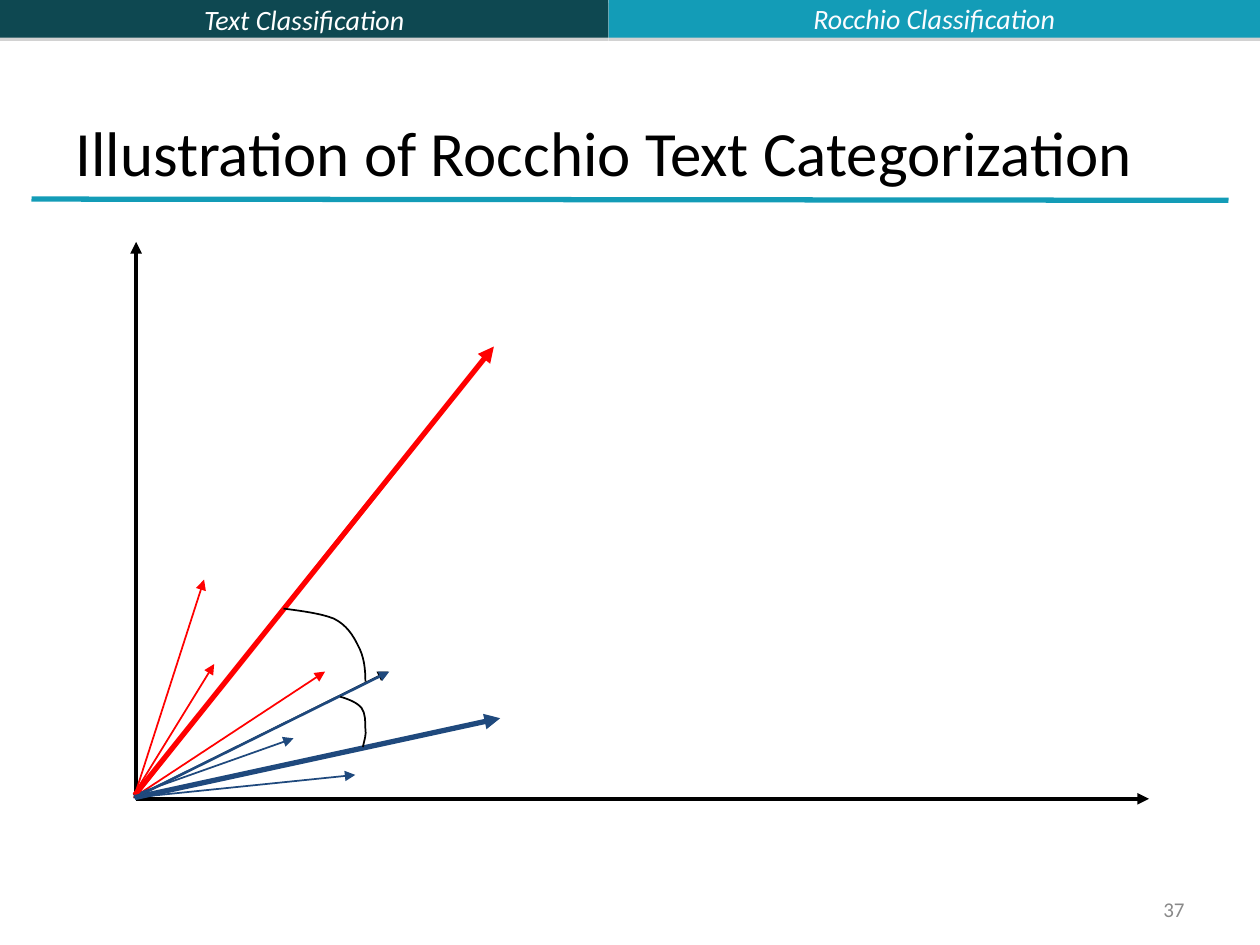
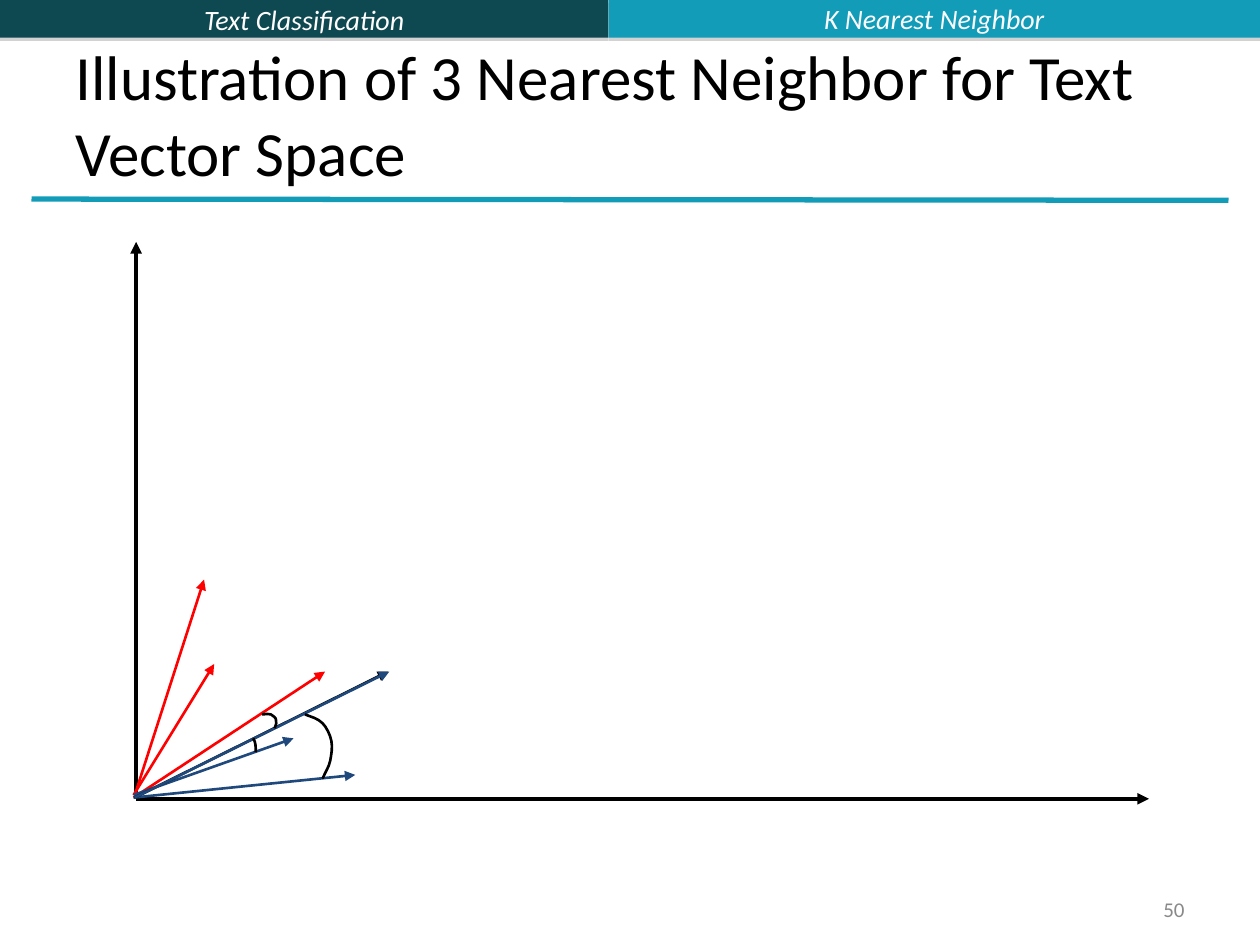
from lxml.etree import SubElement
from pptx import Presentation
from pptx.dml.color import RGBColor
from pptx.enum.shapes import MSO_CONNECTOR, MSO_SHAPE
from pptx.enum.text import MSO_ANCHOR, MSO_AUTO_SIZE, PP_ALIGN
from pptx.oxml.ns import qn
from pptx.util import Inches, Pt

DARK_TEAL = RGBColor(0x0E, 0x48, 0x51)
TEAL = RGBColor(0x13, 0x9C, 0xB7)
WHITE = RGBColor(0xFF, 0xFF, 0xFF)
PALE = RGBColor(0xFB, 0xFC, 0xFF)
BLACK = RGBColor(0, 0, 0)
GRAY = RGBColor(0x89, 0x89, 0x89)
RED = RGBColor(0xFF, 0, 0)
NAVY = RGBColor(0x1F, 0x49, 0x7D)
FONT = "Calibri"

COURSE = "Text Classification"
SPLIT = 4.83
AXES = [((1.08, 6.33), (1.08, 1.92)), ((1.08, 6.34), (9.12, 6.34))]
DOCUMENTS = [
    ((1.07, 6.31), (1.62, 4.6), RED),
    ((1.06, 6.31), (1.7, 5.27), RED),
    ((1.06, 6.33), (2.58, 5.33), RED),
    ((1.06, 6.33), (2.82, 6.15), NAVY),
    ((1.06, 6.31), (2.33, 5.86), NAVY),
]
CENTROIDS = [((1.07, 6.31), (3.92, 2.75), RED), ((1.07, 6.33), (3.97, 5.7), NAVY)]
QUERY = [((1.07, 6.33), (3.08, 5.33), BLACK), ((1.07, 6.33), (3.09, 5.33), NAVY)]

SLIDES = [
    dict(
        title="Illustration of Rocchio Text Categorization",
        topic="Rocchio Classification", number="37", weight=1, centroids=CENTROIDS,
        arcs=[
            [(2.25, 4.83), (2.4, 4.85), (2.55, 4.87), (2.65, 4.91), (2.75, 4.96),
             (2.8, 5.04), (2.84, 5.12), (2.89, 5.21), (2.9, 5.31), (2.9, 5.41)],
            [(2.7, 5.53), (2.77, 5.55), (2.84, 5.58), (2.87, 5.62), (2.9, 5.66),
             (2.9, 5.73), (2.9, 5.78), (2.91, 5.83), (2.89, 5.88), (2.88, 5.93)],
        ],
    ),
    dict(
        title="Illustration of 3 Nearest Neighbor for Text Vector Space",
        topic="K Nearest Neighbor", number="50", weight=1.5, centroids=[],
        arcs=[
            [(2.01, 5.86), (2.03, 5.89), (2.03, 5.93), (2.03, 5.97)],
            [(2.08, 5.67), (2.11, 5.67), (2.13, 5.66), (2.15, 5.67), (2.17, 5.68),
             (2.19, 5.7), (2.19, 5.71), (2.2, 5.73), (2.19, 5.75), (2.18, 5.78)],
            [(2.42, 5.67), (2.47, 5.69), (2.52, 5.7), (2.56, 5.74), (2.59, 5.77),
             (2.62, 5.83), (2.63, 5.88), (2.64, 5.93), (2.63, 5.99), (2.62, 6.04),
             (2.61, 6.09), (2.58, 6.13), (2.56, 6.18)],
        ],
    ),
]


def write(sp, text, size, color, align, anchor=MSO_ANCHOR.MIDDLE, italic=False):
    tf = sp.text_frame
    tf.text = text
    tf.word_wrap = True
    tf.auto_size = MSO_AUTO_SIZE.NONE
    tf.vertical_anchor = anchor
    p = tf.paragraphs[0]
    p.alignment = align
    font = p.runs[0].font
    font.name, font.size, font.italic = FONT, Pt(size), italic
    font.color.rgb = color


def add_band(s, left, width, color):
    sp = s.shapes.add_shape(MSO_SHAPE.RECTANGLE, Inches(left), 0, Inches(width), Inches(0.3))
    sp.fill.solid()
    sp.fill.fore_color.rgb = color
    sp.line.fill.background()
    effects = SubElement(sp._element.spPr, qn("a:effectLst"))
    shadow = SubElement(effects, qn("a:outerShdw"), blurRad="0", dist=str(Pt(1.8)),
                        dir="5400000", algn="ctr", rotWithShape="0")
    tint = SubElement(shadow, qn("a:srgbClr"), val="808080")
    SubElement(tint, qn("a:alpha"), val="35000")
    return sp


def add_text(s, text, box, size, color, align, italic=False):
    sp = s.shapes.add_textbox(*map(Inches, box))
    write(sp, text, size, color, align, italic=italic)


def add_line(s, start, end, color, weight, arrow=True):
    c = s.shapes.add_connector(MSO_CONNECTOR.STRAIGHT, *map(Inches, start + end))
    c.line.color.rgb = color
    c.line.width = Pt(weight)
    if arrow:
        SubElement(c.line._get_or_add_ln(), qn("a:tailEnd"), type="triangle")
    SubElement(c._element.spPr, qn("a:effectLst"))


def add_arc(s, points, weight):
    start, *rest = [(Inches(x), Inches(y)) for x, y in points]
    builder = s.shapes.build_freeform(*start)
    builder.add_line_segments(rest, close=False)
    sp = builder.convert_to_shape()
    sp.fill.background()
    sp.line.color.rgb = BLACK
    sp.line.width = Pt(weight)
    sp.shadow.inherit = False
    outline = next(sp._element.iter(qn("a:path")))
    segments = outline.findall(qn("a:lnTo"))
    for i in range(0, len(segments), 3):
        curve = SubElement(outline, qn("a:cubicBezTo"))
        for segment in segments[i:i + 3]:
            curve.append(segment[0])
            outline.remove(segment)


def add_frame(s, title, topic, number):
    sp = s.shapes.title
    sp.left, sp.top, sp.width, sp.height = map(Inches, (0.5, 0.3, 9, 1.25))
    write(sp, title, 36, BLACK, PP_ALIGN.LEFT, MSO_ANCHOR.BOTTOM)
    band = add_band(s, 0, SPLIT, DARK_TEAL)
    write(band, COURSE, 16, WHITE, PP_ALIGN.CENTER, italic=True)
    add_band(s, SPLIT, 10 - SPLIT, TEAL)
    add_text(s, topic, (SPLIT, -0.04, 10 - SPLIT, 0.37), 16, PALE, PP_ALIGN.CENTER, italic=True)
    add_line(s, (0.25, 1.58), (9.75, 1.59), TEAL, 3, arrow=False)
    add_text(s, number, (7.17, 7.08, 2.33, 0.27), 12, GRAY, PP_ALIGN.RIGHT)


def main():
    prs = Presentation()
    prs.slide_width, prs.slide_height = Inches(10), Inches(7.5)
    for content in SLIDES:
        s = prs.slides.add_slide(prs.slide_layouts[5])
        add_frame(s, content["title"], content["topic"], content["number"])
        for start, end in AXES:
            add_line(s, start, end, BLACK, 2.25)
        for start, end, color in DOCUMENTS:
            add_line(s, start, end, color, content["weight"])
        for start, end, color in content["centroids"]:
            add_line(s, start, end, color, 3)
        for (start, end, color), weight in zip(QUERY, (content["weight"], 1.5)):
            add_line(s, start, end, color, weight)
        for points in content["arcs"]:
            add_arc(s, points, content["weight"])
    prs.save("out.pptx")


if __name__ == "__main__":
    main()
